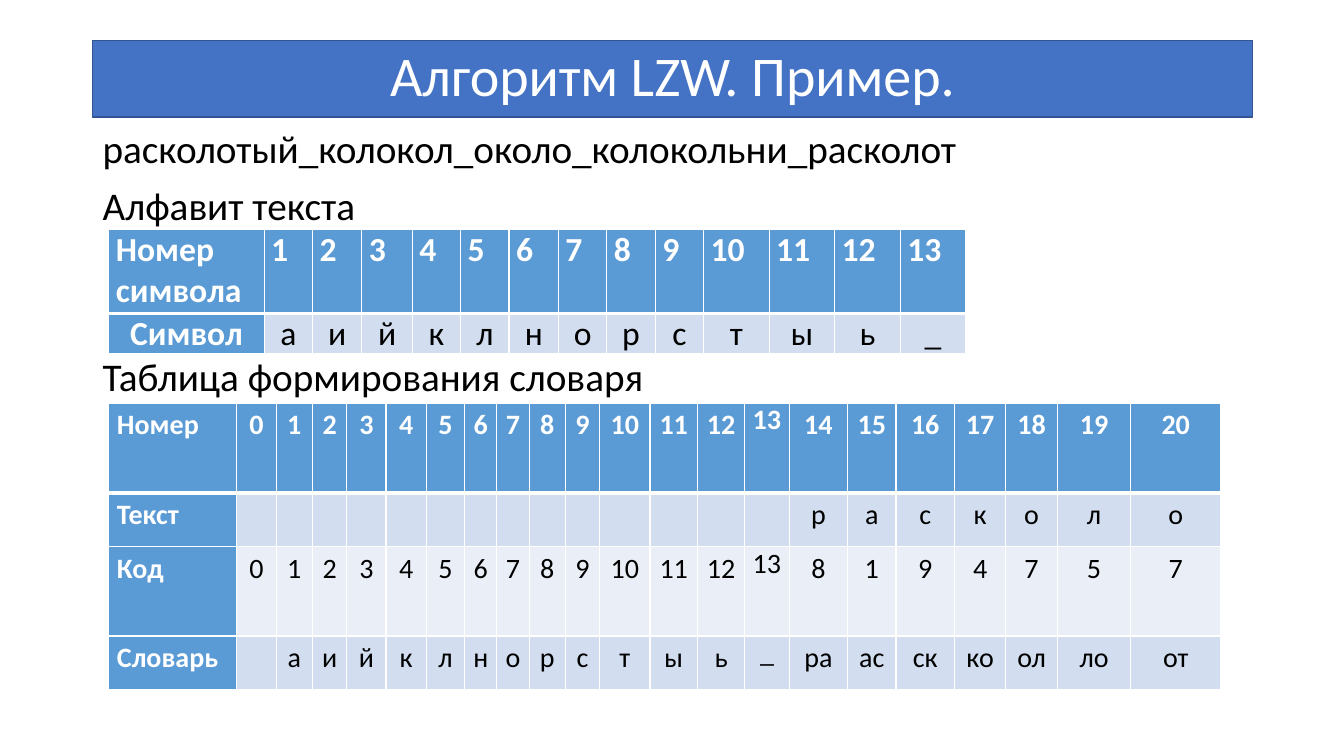
from dataclasses import dataclass

from lxml import etree
from pptx import Presentation
from pptx import util as u
from pptx.dml.color import RGBColor
from pptx.enum import text
from pptx.oxml import ns

PX = 9144  # 100 px to the inch
PHRASE = "расколотый_колокол_около_колокольни_расколот"
ALPHABET = "аийклнорстыь_"
STEPS = 7


@dataclass(frozen=True)
class Theme:
    font: str = "Calibri"
    white: str = "FFFFFF"
    black: str = "000000"
    title_fill: str = "4472C4"
    title_line: str = "325491"
    header: str = "5B9BD5"
    bands: tuple = ("D2DEEF", "EAEFF7")
    title_size: int = 40
    body_size: int = 28
    alphabet_size: int = 24
    dictionary_size: int = 20


class SlideBuilder:
    def __init__(self, presentation, theme):
        self.theme = theme
        self.slide = presentation.slides.add_slide(presentation.slide_layouts[5])

    def add_text(self, paragraph, content, size, color, bold=False, align=text.PP_ALIGN.LEFT):
        paragraph.alignment = align
        run = paragraph.add_run()
        run.text = content
        run.font.name = self.theme.font
        run.font.size = u.Pt(size)
        run.font.bold = bold
        run.font.color.rgb = RGBColor.from_string(color)

    def title(self, content, left, top, width, height):
        shape = self.slide.shapes.title
        shape.left, shape.top, shape.width, shape.height = (
            v * PX for v in (left, top, width, height))
        shape.fill.solid()
        shape.fill.fore_color.rgb = RGBColor.from_string(self.theme.title_fill)
        shape.line.color.rgb = RGBColor.from_string(self.theme.title_line)
        shape.line.width = u.Pt(1)
        frame = shape.text_frame
        frame.auto_size = text.MSO_AUTO_SIZE.NONE
        frame.vertical_anchor = text.MSO_ANCHOR.MIDDLE
        paragraph = frame.paragraphs[0]
        paragraph.line_spacing = 0.9
        self.add_text(paragraph, content, self.theme.title_size, self.theme.white,
                      align=text.PP_ALIGN.CENTER)

    def body(self, lines, left, top, width, height):
        """Add a text box from (content, space before in points) pairs."""
        box = self.slide.shapes.add_textbox(*(v * PX for v in (left, top, width, height)))
        frame = box.text_frame
        frame.word_wrap = True
        for index, (content, space) in enumerate(lines):
            paragraph = frame.add_paragraph() if index else frame.paragraphs[0]
            paragraph.line_spacing = 0.9
            paragraph.space_before = u.Pt(space)
            self.add_text(paragraph, content, self.theme.body_size, self.theme.black)

    def table(self, rows, left, top, widths, heights, size, margins, left_aligned, tight=None):
        """Add a banded table; left_aligned(row, column) picks the cells not centred."""
        frame = self.slide.shapes.add_table(
            len(rows), len(widths), left * PX, top * PX, sum(widths) * PX, sum(heights) * PX)
        table = frame.table
        for column, width in zip(table.columns, widths):
            column.width = width * PX
        for row, height in zip(table.rows, heights):
            row.height = height * PX
        for r, values in enumerate(rows):
            for c, value in enumerate(values):
                cell = table.cell(r, c)
                is_header = r == 0 or c == 0
                self.borders(cell, r)
                cell.fill.solid()
                cell.fill.fore_color.rgb = RGBColor.from_string(
                    self.theme.header if is_header else self.theme.bands[(r - 1) % 2])
                side, edge = (0, 0) if c == tight else margins
                cell.margin_left = cell.margin_right = side * PX
                cell.margin_top = cell.margin_bottom = edge * PX
                if value:
                    align = text.PP_ALIGN.LEFT if left_aligned(r, c) else text.PP_ALIGN.CENTER
                    color = self.theme.white if is_header else self.theme.black
                    self.add_text(cell.text_frame.paragraphs[0], value, size, color,
                                  is_header, align)

    def borders(self, cell, row):
        """Draw white cell borders, thick between the header row and the next one."""
        properties = cell._tc.get_or_add_tcPr()
        thick_side = {0: "lnB", 1: "lnT"}.get(row)
        for side in ("lnL", "lnR", "lnT", "lnB"):
            line = etree.SubElement(properties, ns.qn("a:" + side))
            line.set("w", str(u.Pt(3 if side == thick_side else 1)))
            fill = etree.SubElement(line, ns.qn("a:solidFill"))
            etree.SubElement(fill, ns.qn("a:srgbClr")).set("val", self.theme.white)


def main():
    presentation = Presentation()
    presentation.slide_width = 1333 * PX
    presentation.slide_height = 750 * PX
    theme = Theme()
    builder = SlideBuilder(presentation, theme)

    builder.title("Алгоритм LZW. Пример.", 92, 40, 1150, 76)
    builder.body([(PHRASE, 10), ("Алфавит текста", 10), ("Таблица формирования словаря", 92)],
                 92, 124, 1150, 552)

    count = len(ALPHABET)
    builder.table(
        [["Номер символа", *map(str, range(1, count + 1))], ["Символ", *ALPHABET]],
        108, 228, [154, 48, 49, 50, 48, 48, 49, 48, 48, 48, 65, 65, 65, 65], [83, 38],
        theme.alphabet_size, (7, 0), lambda row, column: row == 0)

    symbols = PHRASE[:STEPS]
    codes = [str(ALPHABET.index(symbol) + 1) for symbol in symbols]
    pairs = [PHRASE[i:i + 2] for i in range(STEPS)]
    known = [str(i) for i in range(count + 1)]
    builder.table(
        [["Номер", *map(str, range(count + STEPS + 1))],
         ["Текст", *[""] * len(known), *symbols],
         ["Код", *known, *codes],
         ["Словарь", "", *ALPHABET, *pairs]],
        108, 400,
        [127, 39, 36, 34, 39, 40, 38, 32, 32, 36, 34, 50, 47, 47, 44, 58, 48, 58, 51, 51, 73, 89],
        [89, 53, 89, 53], theme.dictionary_size, (8, 5),
        lambda row, column: column == 0, tight=count + 1)

    presentation.save("out.pptx")


if __name__ == "__main__":
    main()
